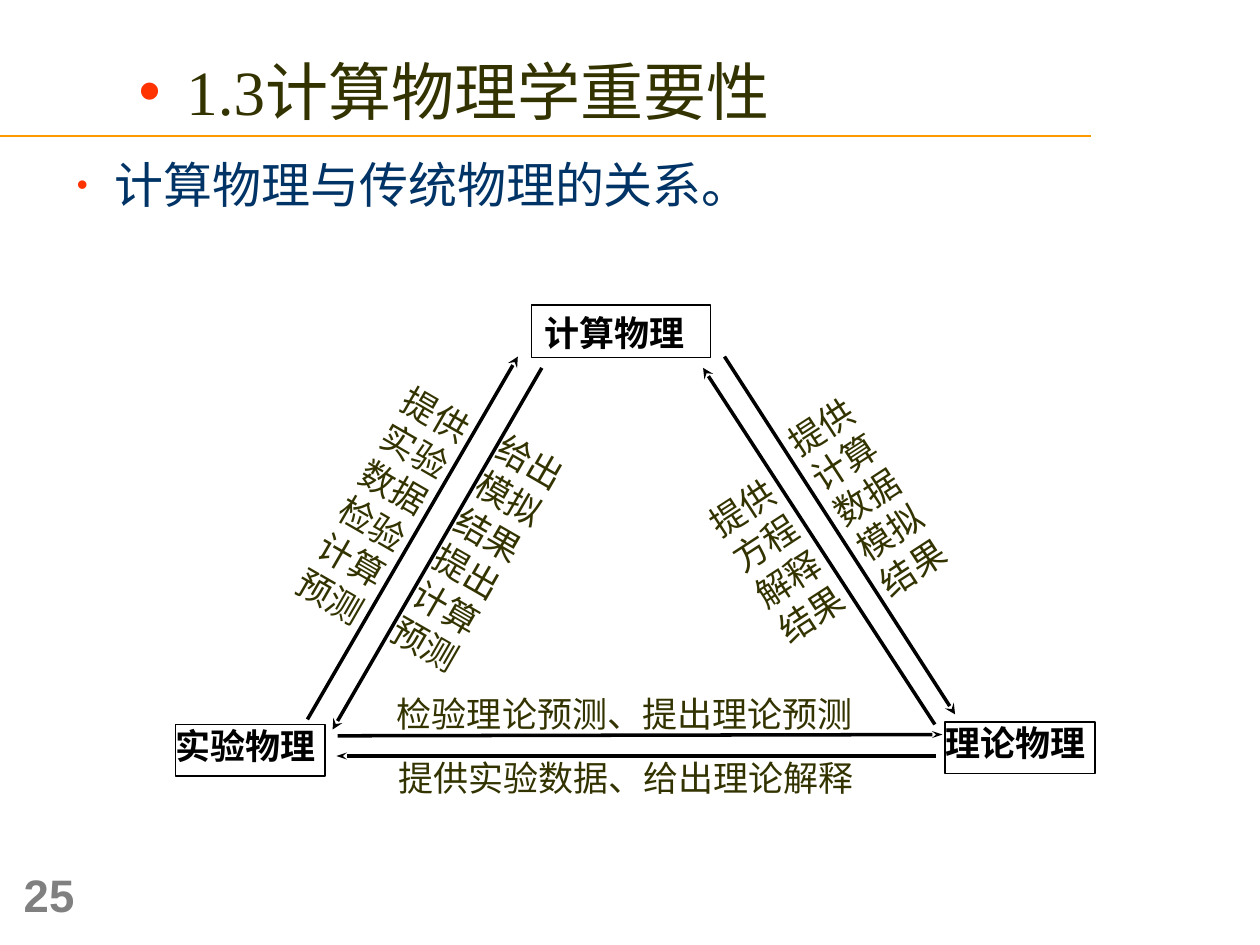
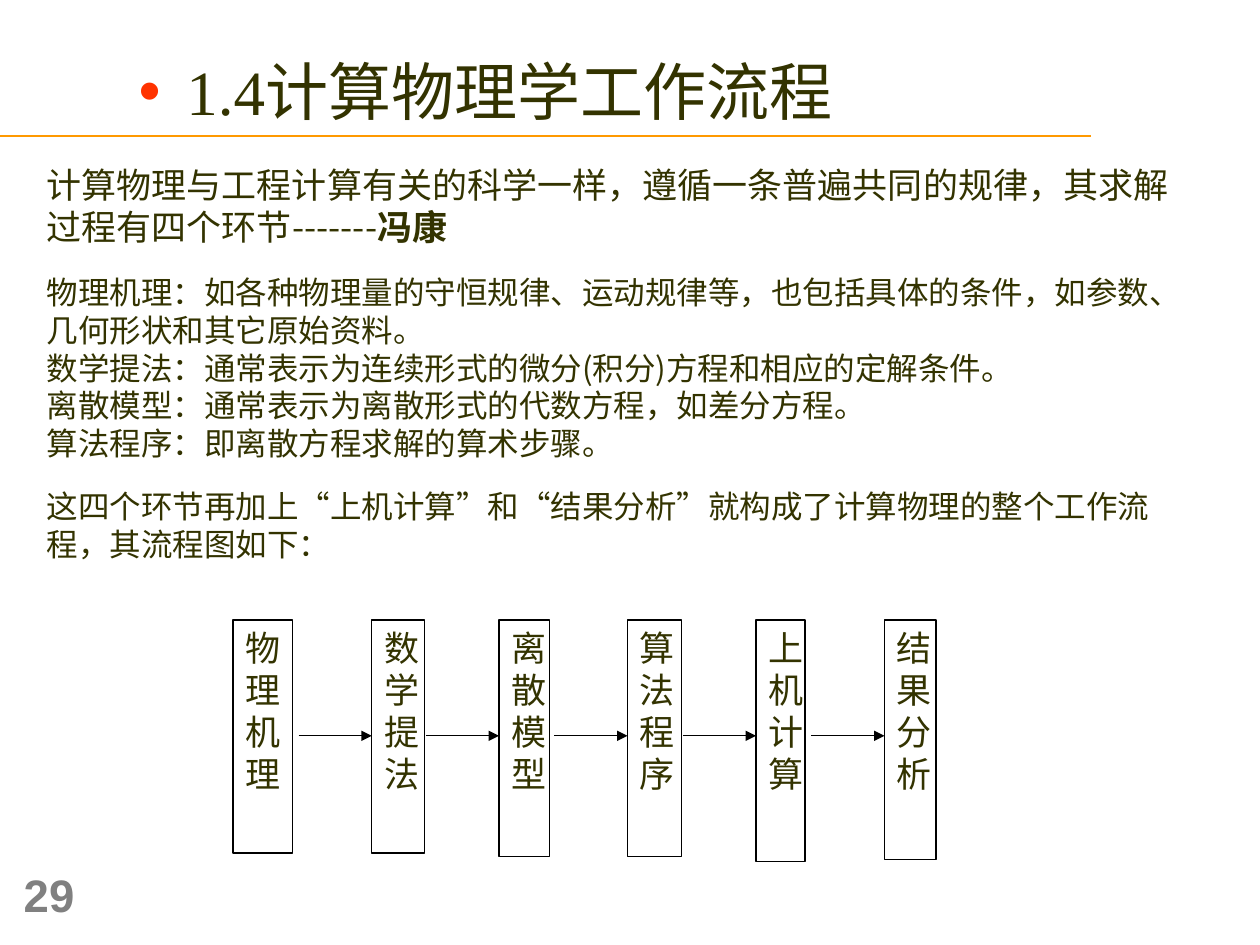
import pptx
import pptx.util
import pptx.dml.color
import pptx.enum.shapes
import pptx.enum.text
import pptx.oxml
import pptx.oxml.ns
from lxml import etree

Inches = pptx.util.Inches
Pt = pptx.util.Pt
RGBColor = pptx.dml.color.RGBColor
Anchor = pptx.enum.text.MSO_ANCHOR
qn = pptx.oxml.ns.qn

# Shared look
BLACK = RGBColor(0x00, 0x00, 0x00)
WHITE = RGBColor(0xFF, 0xFF, 0xFF)
OLIVE = RGBColor(0x33, 0x33, 0x00)
NAVY = RGBColor(0x00, 0x33, 0x66)
RED = RGBColor(0xFF, 0x33, 0x00)
ORANGE = RGBColor(0xFF, 0x99, 0x00)
GREY = RGBColor(0x80, 0x80, 0x80)
CJK = "Noto Sans CJK SC"
FULL_INSETS = (0.1, 0.05, 0.1, 0.05)
NO_INSETS = (0, 0, 0, 0)

# Content: the relation triangle
RELATION_TITLE = "1.3计算物理学重要性"
RELATION_POINT = "计算物理与传统物理的关系。"
FIELDS = [  # name, (left, top, width, height), insets
    ("计算物理", (4.22, 2.42, 1.42, 0.42), FULL_INSETS),
    ("实验物理", (1.39, 5.75, 1.19, 0.41), NO_INSETS),
    ("理论物理", (7.5, 5.73, 1.19, 0.41), NO_INSETS),
]
RELATIONS = [  # label, label place, rotation, arrow start, arrow end
    ("检验理论预测、提出理论预测", (3.15, 5.5, 3.68, 0.33), 0, (2.68, 5.84), (7.48, 5.83)),
    ("提供实验数据、给出理论解释", (3.16, 6, 3.75, 0.41), 0, (7.43, 6), (2.67, 6)),
    ("提供计算数据\n模拟结果", (6.64, 3.09, 0.58, 1.82), -33, (5.75, 2.83), (7.58, 5.67)),
    ("提供实验数据\n检验计算预测", (2.76, 3.02, 0.61, 2.01), 30, (2.44, 5.71), (4.11, 2.83)),
    ("提供方程解释结果", (5.91, 3.77, 0.58, 1.43), -33, (7.42, 5.75), (5.58, 2.92)),
    ("给出模拟结果提出计算预测", (3.51, 3.4, 0.61, 2.01), 30, (4.3, 2.92), (2.64, 5.79)),
]

# Content: the workflow
WORKFLOW_TITLE = "1.4计算物理学工作流程"
WORKFLOW_TEXT = [  # runs as (text, bold), size, space before
    ([("计算物理与工程计算有关的科学一样，遵循一条普遍共同的规律，其求解过程有四个环节-------", False),
      ("冯康", True)], 20, 0),
    ([("物理机理：如各种物理量的守恒规律、运动规律等，也包括具体的条件，如参数、几何形状和其它原始资料。", False)], 18, 14.4),
    ([("数学提法：通常表示为连续形式的微分(积分)方程和相应的定解条件。", False)], 18, 0),
    ([("离散模型：通常表示为离散形式的代数方程，如差分方程。", False)], 18, 0),
    ([("算法程序：即离散方程求解的算术步骤。", False)], 18, 0),
    ([("这四个环节再加上“上机计算”和“结果分析”就构成了计算物理的整个工作流程，其流程图如下：", False)], 18, 14.4),
]
STEPS = [  # name, left, width, height
    ("物理机理", 1.85, 0.47, 1.85),
    ("数学提法", 2.95, 0.42, 1.85),
    ("离散模型", 3.96, 0.4, 1.88),
    ("算法程序", 4.98, 0.43, 1.88),
    ("上机计算", 6, 0.39, 1.92),
    ("结果分析", 7.02, 0.41, 1.9),
]
STEP_TOP, STEP_ARROW_Y, STEP_ARROW_LENGTH = 4.92, 5.84, 0.58


def style_run(span, size, color, bold=False, font=CJK):
    span.font.size = Pt(size)
    span.font.bold = bold
    span.font.color.rgb = color
    span.font.name = font
    east_asian = etree.Element(qn("a:ea"), typeface=CJK)
    span.font._element.find(qn("a:latin")).addnext(east_asian)


def style_frame(frame, insets=FULL_INSETS, anchor=Anchor.TOP):
    frame.word_wrap = True
    frame.auto_size = pptx.enum.text.MSO_AUTO_SIZE.NONE
    frame.vertical_anchor = anchor
    (frame.margin_left, frame.margin_top,
     frame.margin_right, frame.margin_bottom) = map(Inches, insets)


def write(frame, text, size, color, bold=False, font=CJK):
    frame.text = text
    for para in frame.paragraphs:
        para.alignment = pptx.enum.text.PP_ALIGN.LEFT
        for span in para.runs:
            style_run(span, size, color, bold, font)


def set_bullet(para, indent=0, percent=100):
    """Red bullet with a hanging indent, or no bullet when indent is 0."""
    props = para._p.get_or_add_pPr()
    props.set("marL", str(Inches(indent)))
    props.set("indent", str(-Inches(indent)))
    if not indent:
        etree.SubElement(props, qn("a:buNone"))
        return
    color = etree.SubElement(props, qn("a:buClr"))
    etree.SubElement(color, qn("a:srgbClr"), val=str(RED))
    etree.SubElement(props, qn("a:buSzPct"), val=str(percent * 1000))
    etree.SubElement(props, qn("a:buFont"), typeface="Arial")
    etree.SubElement(props, qn("a:buChar"), char="•")


def place(shape, left, top, width, height):
    shape.left, shape.top = Inches(left), Inches(top)
    shape.width, shape.height = Inches(width), Inches(height)


def add_line(page, start, end, color, width, arrow=None, arrow_width="med"):
    line = page.shapes.add_connector(
        pptx.enum.shapes.MSO_CONNECTOR.STRAIGHT, *map(Inches, start + end))
    line.line.color.rgb = color
    line.line.width = Pt(width)
    if arrow:
        etree.SubElement(line.line._get_or_add_ln(), qn("a:tailEnd"),
                         type=arrow, w=arrow_width, len="med")
    etree.SubElement(line._element.spPr, qn("a:effectLst"))


def add_text(page, text, spot, size, color, bold=False, font=CJK,
             insets=FULL_INSETS, anchor=Anchor.TOP):
    box = page.shapes.add_textbox(*map(Inches, spot))
    style_frame(box.text_frame, insets, anchor)
    write(box.text_frame, text, size, color, bold, font)
    return box


def add_box(page, text, spot, color, bold=False, insets=FULL_INSETS, fill=None):
    box = page.shapes.add_shape(
        pptx.enum.shapes.MSO_SHAPE.RECTANGLE, *map(Inches, spot))
    box.shadow.inherit = False
    if fill is None:
        box.fill.background()
    else:
        box.fill.solid()
        box.fill.fore_color.rgb = fill
    box.line.color.rgb = BLACK
    box.line.width = Pt(0.75)
    style_frame(box.text_frame, insets)
    write(box.text_frame, text, 20, color, bold)


def add_page(deck, title, number, body_spot):
    """Page with title, divider, page number and a placed body frame."""
    page = deck.slides.add_slide(deck.slide_layouts[1])
    heading, body = page.shapes.title, page.placeholders[1]
    place(heading, 1, 0.13, 6.33, 0.95)
    style_frame(heading.text_frame)
    write(heading.text_frame, title, 36, OLIVE, font="Times New Roman")
    para = heading.text_frame.paragraphs[0]
    set_bullet(para, 0.38)
    para.line_spacing = 1.4
    place(body, *body_spot)
    style_frame(body.text_frame)
    add_line(page, (0, 1.08), (8.66, 1.08), ORANGE, 1)
    add_text(page, number, (0.09, 6.83, 0.64, 0.53), 26, GREY, True, "Arial",
             anchor=Anchor.BOTTOM)
    return page, body.text_frame


def build_relations(deck):
    page, frame = add_page(deck, RELATION_TITLE, "25", (0.51, 1.18, 9.02, 0.57))
    write(frame, RELATION_POINT, 28, NAVY)
    set_bullet(frame.paragraphs[0], 0.3, 64)
    frame.paragraphs[0].space_before = Pt(0)
    for name, spot, insets in FIELDS:
        add_box(page, name, spot, BLACK, True, insets)
    for label, spot, rotation, start, end in RELATIONS:
        box = add_text(page, label, spot, 20, OLIVE, insets=NO_INSETS)
        box.rotation = rotation
        add_line(page, start, end, BLACK, 2, "stealth", "med" if rotation else "sm")


def build_workflow(deck):
    page, frame = add_page(deck, WORKFLOW_TITLE, "29", (0.27, 1.25, 9.13, 3.3))
    for index, (spans, size, gap) in enumerate(WORKFLOW_TEXT):
        para = frame.add_paragraph() if index else frame.paragraphs[0]
        set_bullet(para)
        para.space_before = Pt(gap)
        for text, bold in spans:
            span = para.add_run()
            span.text = text
            style_run(span, size, OLIVE, bold)
    for index, (name, left, width, height) in enumerate(STEPS):
        add_box(page, name, (left, STEP_TOP, width, height), OLIVE, fill=WHITE)
        if index:
            add_line(page, (left - STEP_ARROW_LENGTH, STEP_ARROW_Y),
                     (left, STEP_ARROW_Y), BLACK, 0.75, "triangle")


def main():
    deck = pptx.Presentation()
    deck.slide_width, deck.slide_height = Inches(10), Inches(7.5)
    build_relations(deck)
    build_workflow(deck)
    deck.save("out.pptx")


if __name__ == "__main__":
    main()
